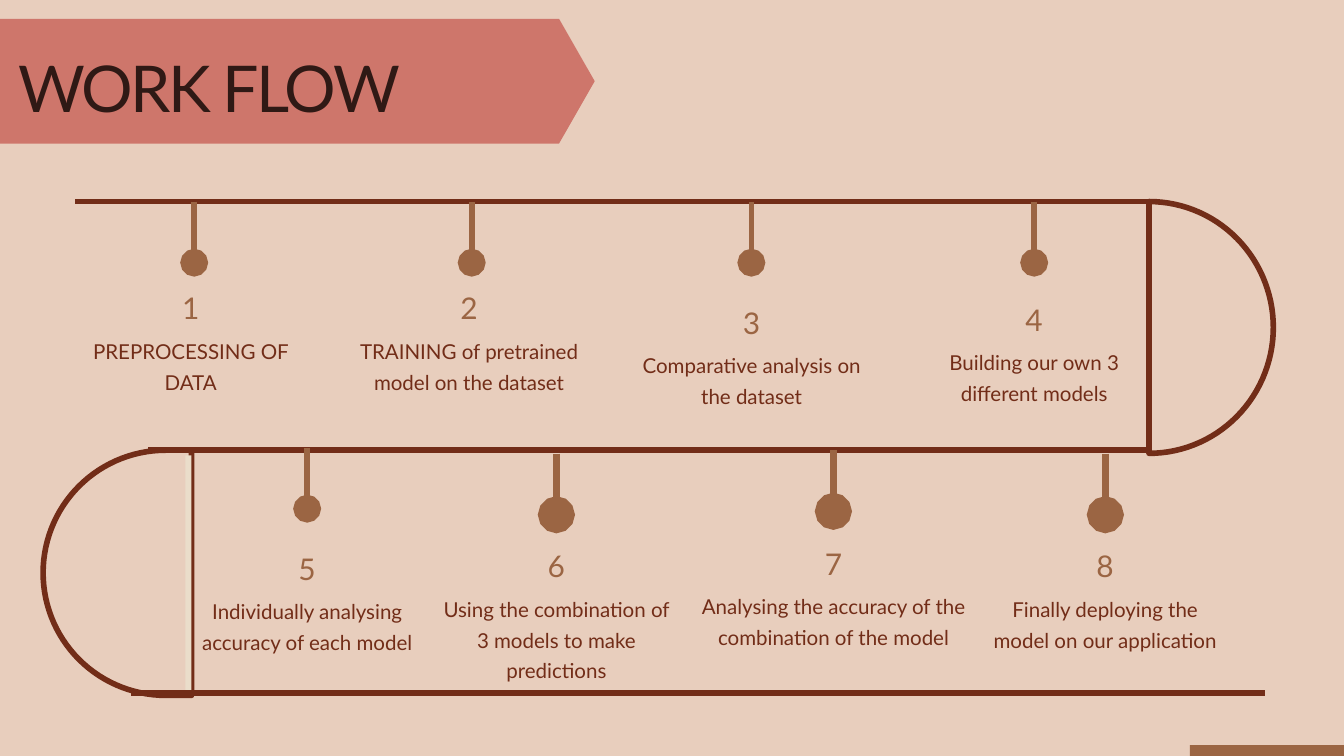
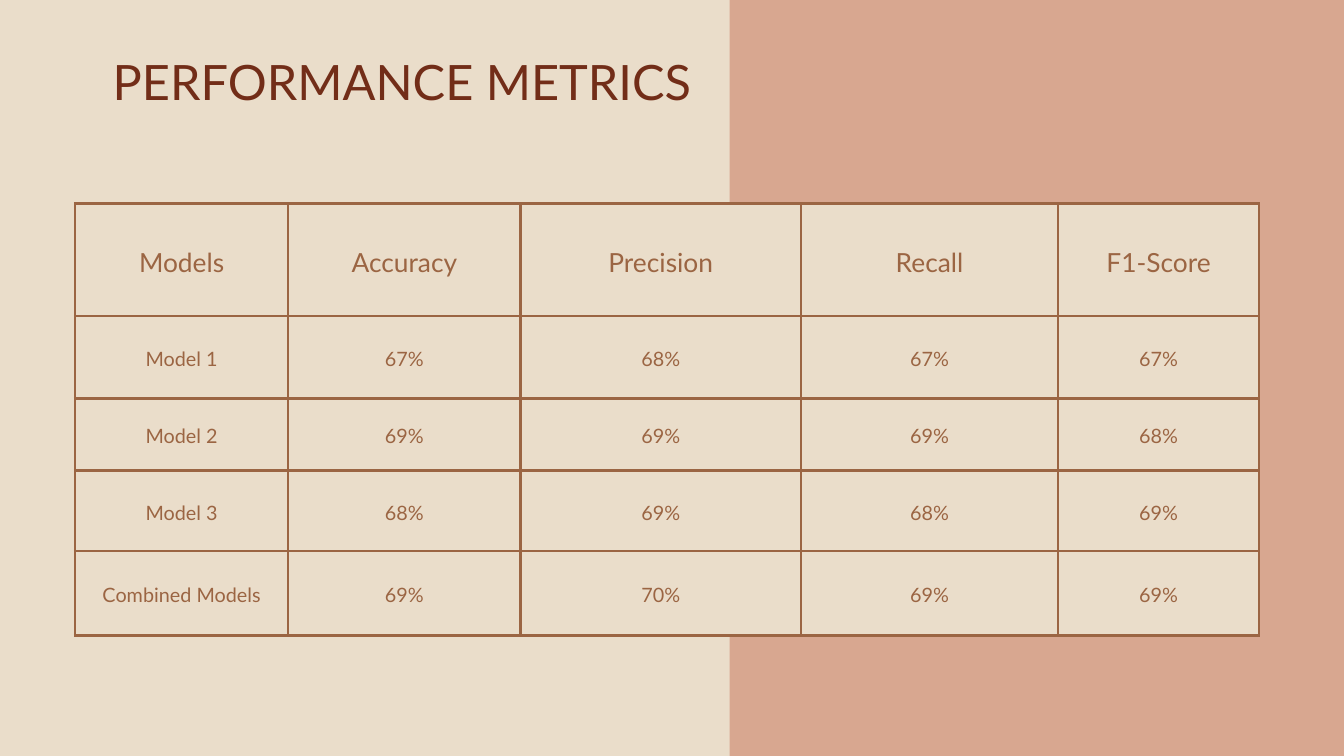
import dataclasses
import math

import lxml.etree
import pptx
import pptx.dml.color
import pptx.enum.shapes
import pptx.enum.text
import pptx.oxml.ns
import pptx.util

Cm, Pt = pptx.util.Cm, pptx.util.Pt
RGB = pptx.dml.color.RGBColor.from_string
qn = pptx.oxml.ns.qn
ALIGN = pptx.enum.text.PP_ALIGN
ANCHOR = pptx.enum.text.MSO_ANCHOR
SHAPE = pptx.enum.shapes.MSO_SHAPE


@dataclasses.dataclass(frozen=True)
class Theme:
    """Colours, type styles and line weights of the deck."""
    width: float = 50.8
    height: float = 28.58
    font: str = "Lato"
    blush: str = "E8CEBD"
    cream: str = "EADDCA"
    clay: str = "D8A790"
    rose: str = "CE766B"
    brown: str = "9B6543"
    rust: str = "722D18"
    ink: str = "2F1915"
    track: float = 6
    border: float = 3
    banner_title: tuple = (69.1, 96.8, "2F1915")
    table_title: tuple = (52.2, 73.1, "722D18")
    number: tuple = (32, 41.6, "9B6543")
    body: tuple = (22, 33, "722D18")
    head: tuple = (28.2, 39.4, "9B6543")
    cell: tuple = (21.2, 29.6, "9B6543")


T = Theme()

STEPS = [
    ("PREPROCESSING OF DATA", (2.84, 10.85, 8.74, 3.89), (7.34, 7.62, 6)),
    ("TRAINING of pretrained model on the dataset", (13.36, 10.85, 8.74, 5.03), (17.83, 7.62, 6)),
    ("Comparative analysis on the dataset", (23.85, 11.4, 9.12, 3.89), (28.4, 7.62, 6)),
    ("Building our own 3 different models", (34.72, 11.28, 8.74, 3.89), (39.09, 7.62, 6)),
    ("Individually analysing accuracy of each model", (7.24, 20.7, 8.74, 5.03), (11.61, 16.92, 6)),
    ("Using the combination of 3 models to make predictions", (16.66, 20.6, 8.74, 5.03), (21.03, 17.15, 8)),
    ("Analysing the accuracy of the combination of the model", (26.26, 20.5, 10.49, 5.03), (31.5, 17.02, 8)),
    ("Finally deploying the model on our application", (37.44, 20.6, 8.66, 5.03), (41.78, 17.15, 8)),
]

METRICS = [
    ("Models", "Accuracy", "Precision", "Recall", "F1-Score"),
    ("Model 1", "67%", "68%", "67%", "67%"),
    ("Model 2", "69%", "69%", "69%", "68%"),
    ("Model 3", "68%", "69%", "68%", "69%"),
    ("Combined Models", "69%", "70%", "69%", "69%"),
]
COLS = (8.05, 8.79, 10.59, 9.73, 7.59)
ROWS = (4.24, 3.12, 2.72, 3.05, 3.2)


def set_all(obj, values):
    """Set every named attribute of an object."""
    for name, value in values.items():
        setattr(obj, name, value)


def write(tf, text, style, align=ALIGN.CENTER):
    """Fill a text frame with one paragraph in a given style."""
    size, leading, color = style
    p = tf.paragraphs[0]
    set_all(p, dict(alignment=align, line_spacing=Pt(leading)))
    r = p.add_run()
    r.text = text
    set_all(r.font, dict(name=T.font, size=Pt(size)))
    r.font.color.rgb = RGB(color)


def frame(tf):
    """Make a text frame wrap, start at its top and have no insets."""
    set_all(tf, dict(word_wrap=True, vertical_anchor=ANCHOR.TOP,
                     auto_size=pptx.enum.text.MSO_AUTO_SIZE.NONE,
                     margin_left=0, margin_right=0, margin_top=0, margin_bottom=0))
    return tf


def text_box(s, box, text, style):
    """Add a centred text box."""
    sp = s.shapes.add_textbox(*map(Cm, box))
    write(frame(sp.text_frame), text, style)


def title(s, box, text, style, align):
    """Place the title placeholder in front and format it."""
    sp = s.shapes.title
    set_all(sp, dict(zip(("left", "top", "width", "height"), map(Cm, box))))
    write(frame(sp.text_frame), text, style, align)
    s.shapes.element.append(sp.element)
    return sp


def block(s, box, color, kind=SHAPE.RECTANGLE):
    """Add a filled shape without outline."""
    sp = s.shapes.add_shape(kind, *map(Cm, box))
    sp.shadow.inherit = False
    sp.fill.solid()
    sp.fill.fore_color.rgb = RGB(color)
    sp.line.fill.background()
    return sp


def line(s, start, end, color, weight, dot=False):
    """Add a straight line, with a round end if asked."""
    sp = s.shapes.add_connector(pptx.enum.shapes.MSO_CONNECTOR.STRAIGHT,
                                *map(Cm, start + end))
    sp.line.color.rgb = RGB(color)
    sp.line.width = Pt(weight)
    spPr = sp.element.spPr
    if dot:
        lxml.etree.SubElement(spPr.find(qn("a:ln")), qn("a:tailEnd"),
                              type="oval", w="lg", len="lg")
    lxml.etree.SubElement(spPr, qn("a:effectLst"))


def loop(s, box, flat, side, segments=60):
    """Outline a half-round turn bulging left (-1) or right (1)."""
    x, y, w, h = box
    edge = x if side > 0 else x + w
    points = [(edge, y)]
    for i in range(segments + 1):
        a = math.pi * i / segments
        reach = flat + (w - flat) * math.sin(a)
        points.append((edge + side * reach, y + h / 2 * (1 - math.cos(a))))
    points.append((edge, y + h))
    points = [(Cm(px), Cm(py)) for px, py in points]
    fb = s.shapes.build_freeform(*points[0])
    fb.add_line_segments(points[1:], close=True)
    sp = fb.convert_to_shape()
    sp.shadow.inherit = False
    sp.fill.background()
    sp.line.color.rgb = RGB(T.rust)
    sp.line.width = Pt(T.track)


def banner(s, box, text):
    """Draw the pointed title band and its title."""
    x, y, w, h = box
    sp = block(s, box, T.rose, SHAPE.PENTAGON)
    sp.adjustments[0] = 1.35 / h
    sp = title(s, (x + 0.69, y + 0.61, w - 2.24, h - 1.52), text,
               T.banner_title, ALIGN.LEFT)
    for rPr in sp.element.iter(qn("a:rPr")):
        rPr.set("spc", "-280")


def step(s, box, number, text, stem):
    """Hang one numbered step from the track."""
    x, y, w, h = box
    sx, sy, weight = stem
    line(s, (sx, sy), (sx, sy + 2.31), T.brown, weight, dot=True)
    text_box(s, (x, y, w, 1.4), str(number), T.number)
    text_box(s, (x, y + 1.73, w, h - 1.73), text, T.body)


def track(s):
    """Draw the winding line that carries the steps."""
    loop(s, (43.43, 7.62, 4.7, 9.52), 0, 1)
    for left, right, y in ((2.84, 43.46, 7.62), (5.61, 43.46, 17.02),
                           (4.95, 47.83, 26.2)):
        line(s, (left, y), (right, y), T.rust, T.track)
    loop(s, (1.63, 17.02, 5.61, 9.27), 0.97, -1)
    block(s, (7.01, 17.22, 0.23, 8.86), T.cream)


def metrics_table(s, box):
    """Build the bordered metrics table."""
    tbl = s.shapes.add_table(len(ROWS), len(COLS), *map(Cm, box)).table
    set_all(tbl, dict(first_row=False, horz_banding=False))
    for col, w in zip(tbl.columns, COLS):
        col.width = Cm(w)
    for i, (row, h) in enumerate(zip(tbl.rows, ROWS)):
        row.height = Cm(h)
        for cell, text in zip(row.cells, METRICS[i]):
            set_all(cell, dict(vertical_anchor=ANCHOR.MIDDLE,
                               margin_left=Cm(0.53), margin_right=Cm(0.53),
                               margin_top=Cm(0.53), margin_bottom=Cm(0.53)))
            write(cell.text_frame, text, T.cell if i else T.head)
            cell.fill.solid()
            cell.fill.fore_color.rgb = RGB(T.cream)
            add_borders(cell)


def add_borders(cell):
    """Rule all four sides of a table cell."""
    tcPr = cell.text_frame._txBody.getparent().find(qn("a:tcPr"))
    for i, side in enumerate("LRTB"):
        ln = lxml.etree.Element(qn(f"a:ln{side}"), w=str(Pt(T.border)))
        fill = lxml.etree.SubElement(ln, qn("a:solidFill"))
        lxml.etree.SubElement(fill, qn("a:srgbClr"), val=T.brown)
        tcPr.insert(i, ln)


def new_slide(prs, color):
    """Add a title-only slide with a plain background."""
    s = prs.slides.add_slide(prs.slide_layouts[5])
    s.background.fill.solid()
    s.background.fill.fore_color.rgb = RGB(color)
    return s


def workflow_slide(prs):
    """Build the work flow slide."""
    s = new_slide(prs, T.blush)
    track(s)
    block(s, (44.98, 28.17, T.width - 44.98, T.height - 28.17), T.brown)
    for number, (text, box, stem) in enumerate(STEPS, 1):
        step(s, box, number, text, stem)
    banner(s, (0, 0.71, 22.48, 4.72), "WORK FLOW")


def metrics_slide(prs):
    """Build the performance metrics slide."""
    s = new_slide(prs, T.cream)
    block(s, (27.58, 0, T.width - 27.58, T.height), T.clay)
    metrics_table(s, (2.84, 7.7, sum(COLS), sum(ROWS)))
    title(s, (2.84, 1.6, 24.71, 2.49), "PERFORMANCE METRICS",
          T.table_title, ALIGN.CENTER)


def main():
    """Build and save the deck."""
    prs = pptx.Presentation()
    set_all(prs, dict(slide_width=Cm(T.width), slide_height=Cm(T.height)))
    workflow_slide(prs)
    metrics_slide(prs)
    prs.save("out.pptx")


if __name__ == "__main__":
    main()
